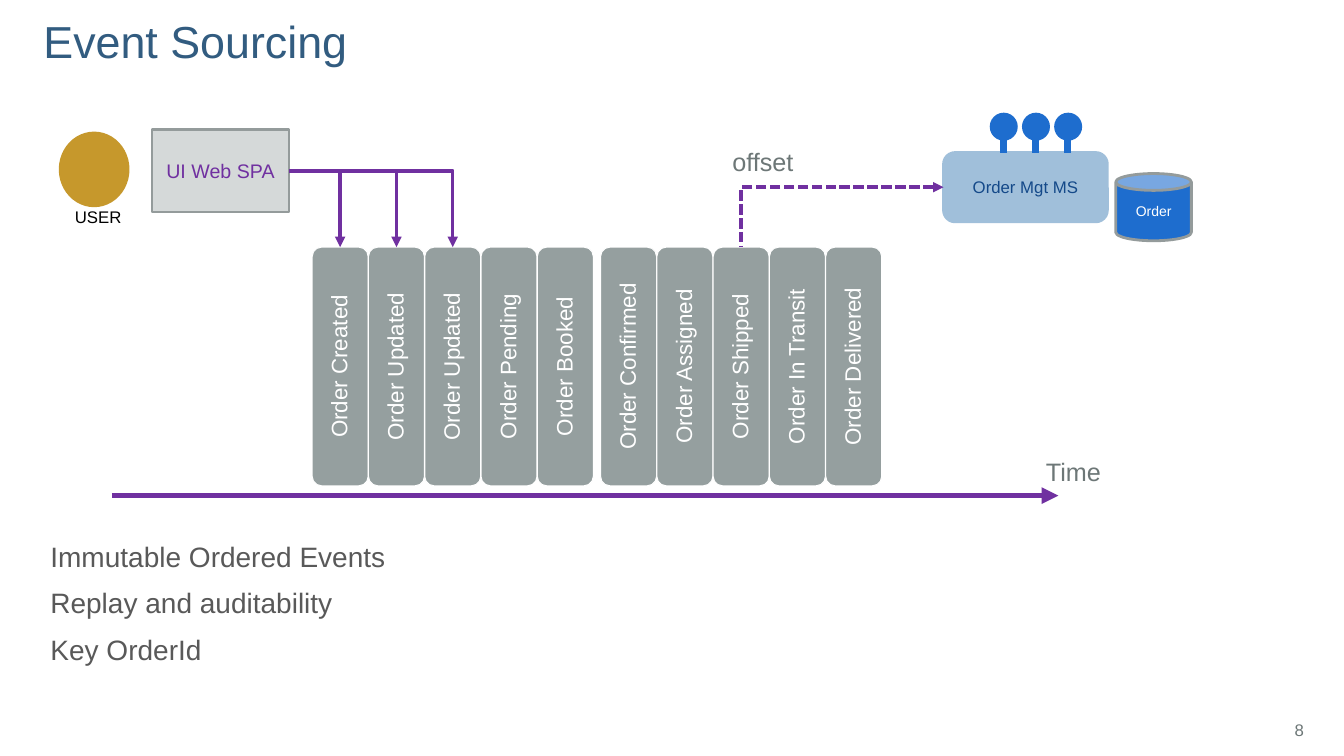
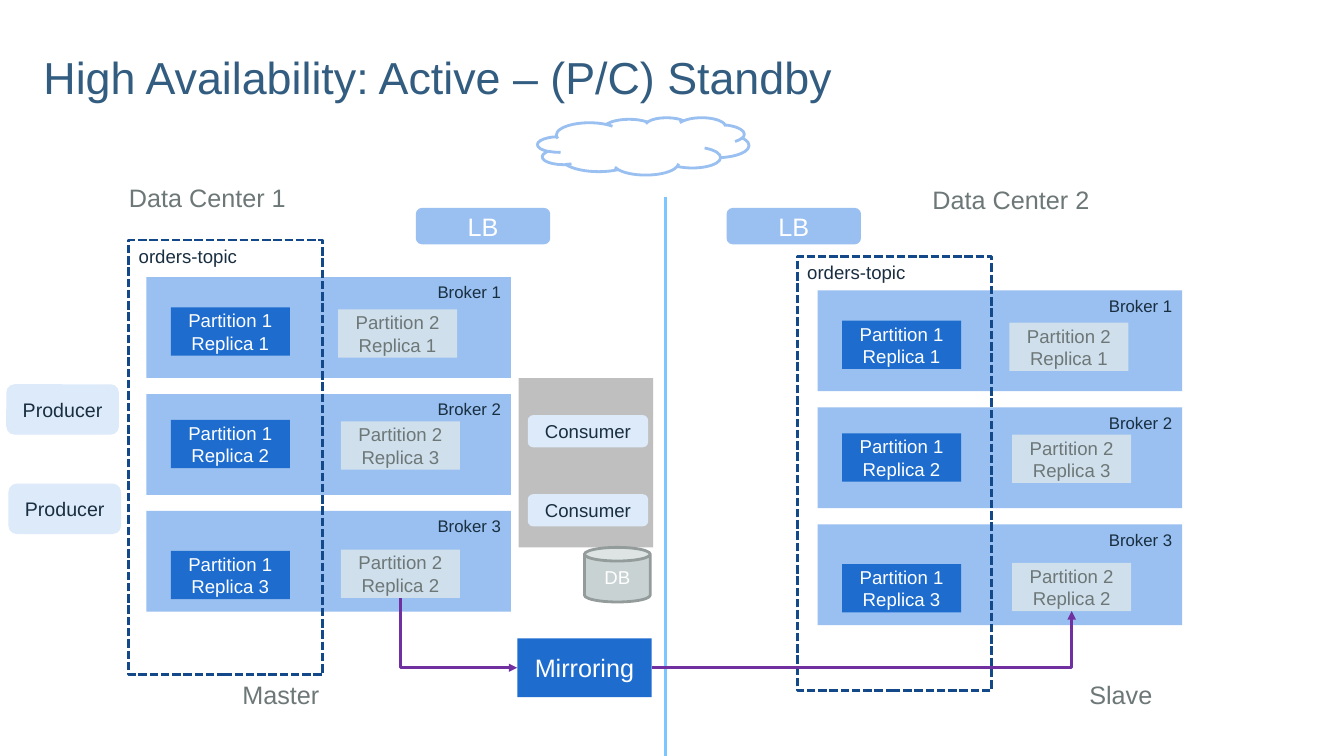
import dataclasses

import lxml.etree
import pptx
import pptx.dml.color
import pptx.enum.dml
import pptx.enum.shapes
import pptx.enum.text
import pptx.oxml.ns
import pptx.util


@dataclasses.dataclass(frozen=True)
class Theme:
    font: str = "Arial"
    title: str = "325C80"
    body: str = "595959"
    muted: str = "6D7777"
    ink: str = "192E40"
    black: str = "000000"
    white: str = "FFFFFF"
    blue: str = "1E6DCE"
    navy: str = "144989"
    sky: str = "99C0F0"
    ice: str = "DDEAFA"
    steel: str = "A0BFDA"
    mist: str = "CFDFEC"
    divider: str = "7CC7FF"
    purple: str = "7030A0"
    gold: str = "C6982C"
    event: str = "959F9F"
    border: str = "949B9B"
    panel: str = "D5D9D9"
    database: str = "C8D2D2"
    silver: str = "BFBFBF"
    title_size: float = 32
    body_size: float = 20
    label_size: float = 18
    event_size: float = 16
    node_size: float = 14
    part_size: float = 13.3
    small_size: float = 12
    tiny_size: float = 10


THEME = Theme()
DASH = pptx.enum.dml.MSO_LINE.SQUARE_DOT
TOP, LEFT, BOTTOM, RIGHT = range(4)


def points(*values):
    return [pptx.util.Pt(value) for value in values]


def rgb(color):
    return pptx.dml.color.RGBColor.from_string(color)


def assign(target, values):
    for name, value in values.items():
        setattr(target, name, value)


class Deck:
    """Holds the theme, the presentation and the slide being drawn."""

    def __init__(self, theme):
        self.theme = theme
        self.file = pptx.Presentation()
        assign(self.file, dict(zip(("slide_width", "slide_height"), points(960, 540))))

    def start_slide(self, title, title_height):
        self.slide = self.file.slides.add_slide(self.file.slide_layouts[6])
        self.label((31, 5, 857.5, title_height), title, self.theme.title_size,
                   self.theme.title, anchor="BOTTOM", insets=(0, 3.6, 7.2, 0),
                   spacing=0.85, wrap=True)

    def set_text(self, shape, text, size, color, align="LEFT", anchor="TOP",
                 insets=(7.2, 3.6, 7.2, 3.6), spacing=None, before=0, wrap=True):
        """Fills the shape with one paragraph for each line of text."""
        frame = shape.text_frame
        left, top, right, bottom = points(*insets)
        assign(frame, {
            "margin_left": left, "margin_top": top,
            "margin_right": right, "margin_bottom": bottom,
            "word_wrap": wrap,
            "vertical_anchor": pptx.enum.text.MSO_ANCHOR[anchor],
        })
        for index, line in enumerate(text.split("\n")):
            paragraph = frame.add_paragraph() if index else frame.paragraphs[0]
            paragraph.alignment = pptx.enum.text.PP_ALIGN[align]
            if spacing:
                paragraph.line_spacing = spacing
            if index and before:
                paragraph.space_before = pptx.util.Pt(before)
            run = paragraph.add_run()
            run.text = line
            assign(run.font, {"name": self.theme.font, "size": pptx.util.Pt(size)})
            run.font.color.rgb = rgb(color)

    def label(self, place, text, size=THEME.label_size, color=THEME.muted,
              wrap=False, **style):
        box = self.slide.shapes.add_textbox(*points(*place))
        self.set_text(box, text, size, color, wrap=wrap, **style)

    def shape(self, kind, place, fill=None, line=None, weight=2, dash=None,
              text="", size=THEME.part_size, color=THEME.white,
              align="CENTER", anchor="MIDDLE", **style):
        drawn = self.slide.shapes.add_shape(
            pptx.enum.shapes.MSO_SHAPE[kind], *points(*place))
        drawn.shadow.inherit = False
        if fill:
            drawn.fill.solid()
            drawn.fill.fore_color.rgb = rgb(fill)
        else:
            drawn.fill.background()
        if line:
            drawn.line.color.rgb = rgb(line)
            assign(drawn.line, {"width": pptx.util.Pt(weight), "dash_style": dash})
        else:
            drawn.line.fill.background()
        if text:
            self.set_text(drawn, text, size, color, align, anchor, **style)
        return drawn

    def finish_connector(self, connector, color, weight, dash=None, arrow=None):
        """Styles a connector; arrow is headEnd, tailEnd or None."""
        connector.line.color.rgb = rgb(color)
        assign(connector.line, {"width": pptx.util.Pt(weight), "dash_style": dash})
        properties = connector._element.spPr
        if arrow:
            lxml.etree.SubElement(properties.find(pptx.oxml.ns.qn("a:ln")),
                                  pptx.oxml.ns.qn("a:" + arrow), type="triangle")
        lxml.etree.SubElement(properties, pptx.oxml.ns.qn("a:effectLst"))

    def line(self, ends, color, weight, arrow=None):
        connector = self.slide.shapes.add_connector(
            pptx.enum.shapes.MSO_CONNECTOR.STRAIGHT, *points(*ends))
        self.finish_connector(connector, color, weight, arrow=arrow)

    def elbow(self, start, start_side, end, end_side, weight, arrow, dash=None):
        """Joins two shapes with one bend, leaving the first horizontally."""
        connector = self.slide.shapes.add_connector(
            pptx.enum.shapes.MSO_CONNECTOR.ELBOW, *points(0, 0, 0, 0))
        connector.begin_connect(start, start_side)
        connector.end_connect(end, end_side)
        geometry = connector._element.spPr.find(pptx.oxml.ns.qn("a:prstGeom"))
        geometry.set("prst", "bentConnector2")
        self.finish_connector(connector, self.theme.purple, weight, dash, arrow)

    def event(self, left, text):
        card = self.shape("ROUNDED_RECTANGLE", (left, 176.5, 40, 170.5),
                          self.theme.event, self.theme.white, 0.75, text=text,
                          size=self.theme.event_size, insets=(0, 0, 0, 0),
                          spacing=0.9)
        card.text_frame._txBody.bodyPr.set("vert", "vert270")
        return card

    def data_center(self, left, top, topic_left, topic_top):
        """Draws three brokers and the topic outline; returns the last replica."""
        theme = self.theme
        # Left and top of each partition within its broker, with its replica
        brokers = (
            ((17.5, 21.5, 1), (137, 23, 1)),
            ((17.5, 18.5, 2), (139, 19.5, 3)),
            ((17.5, 28.5, 3), (139, 27.5, 2)),
        )
        looks = ((theme.blue, theme.white), (theme.mist, theme.muted))
        for index, partitions in enumerate(brokers):
            broker_top = top + index * 83.5
            self.shape("RECTANGLE", (left, broker_top, 260.5, 72), theme.sky,
                       text=f"Broker {index + 1}", size=theme.small_size,
                       color=theme.ink, align="RIGHT", anchor="TOP")
            for number, (dx, dy, replica) in enumerate(partitions, 1):
                fill, color = looks[number - 1]
                partition = self.shape(
                    "RECTANGLE", (left + dx, broker_top + dy, 85, 34.5), fill,
                    text=f"Partition {number} Replica {replica}", color=color)
        self.shape("RECTANGLE", (topic_left, topic_top, 138.5, 310.5),
                   line=theme.navy, dash=DASH, text="orders-topic",
                   color=theme.ink, align="LEFT", anchor="TOP")
        return partition


def event_sourcing(deck):
    theme = deck.theme
    deck.start_slide("Event Sourcing", 43)
    deck.label((36, 382, 525.5, 89),
               "Immutable Ordered Events\nReplay and auditability\nKey OrderId",
               theme.body_size, theme.body, wrap=True, before=9,
               insets=(0, 3.6, 7.2, 3.6))
    deck.label((896.5, 507, 42, 29), "8", theme.small_size, align="RIGHT",
               anchor="MIDDLE", wrap=True)

    groups = (
        (223, ("Created", "Updated", "Updated", "Pending", "Booked")),
        (429, ("Confirmed", "Assigned", "Shipped", "In Transit", "Delivered")),
    )
    events = [deck.event(left + index * 40.2, f"Order {state}")
              for left, states in groups for index, state in enumerate(states)]
    shipped = events[7]
    deck.line((80, 354, 756, 354), theme.purple, 4, "tailEnd")
    deck.label((740, 322.5, 54, 29), "Time")
    deck.label((516, 101, 58, 29), "offset")

    service = deck.shape("ROUNDED_RECTANGLE", (674, 109, 117, 49.5), theme.steel,
                         theme.steel, text="Order Mgt MS",
                         size=theme.small_size, color=theme.navy)
    for index in range(3):
        left = 707 + index * 23
        deck.shape("OVAL", (left, 80.5, 20, 20), theme.blue)
        deck.line((left + 9.5, 99.5, left + 9.5, 109), theme.blue, 5)
    deck.shape("CAN", (797, 124, 54, 48), theme.blue, theme.border, text="Order",
               size=theme.tiny_size)

    web_app = deck.shape("RECTANGLE", (108.5, 92.5, 98, 59), theme.panel,
                         theme.border, text="UI Web SPA", size=theme.node_size,
                         color=theme.purple)
    deck.shape("OVAL", (42, 94, 50.5, 54), theme.gold)
    deck.label((53.5, 147.5, 34, 14.5), "USER", theme.small_size, theme.black,
               insets=(0, 0, 0, 0))
    for recorded in events[:3]:
        deck.elbow(web_app, RIGHT, recorded, TOP, 2.5, "tailEnd")
    deck.elbow(service, LEFT, shipped, TOP, 2.5, "headEnd", DASH)


def high_availability(deck):
    theme = deck.theme
    deck.start_slide("High Availability: Active – (P/C) Standby", 69)
    deck.shape("CLOUD", (384, 84, 151, 41), line=theme.sky)
    for left in (297, 519):
        deck.shape("ROUNDED_RECTANGLE", (left, 148.5, 96, 26), theme.sky,
                   text="LB", size=theme.label_size)
    for left, top, width, text in (
            (85, 127, 127.5, "Data Center 1"), (659, 128, 127.5, "Data Center 2"),
            (166, 482, 70, "Master"), (771, 482, 60, "Slave")):
        deck.label((left, top, width, 29), text)

    for left, top in ((4.5, 274.5), (6, 345.5)):
        deck.shape("ROUNDED_RECTANGLE", (left, top, 80.5, 36), theme.ice,
                   text="Producer", size=theme.node_size, color=theme.ink)
    deck.shape("RECTANGLE", (370.5, 270, 96, 121), theme.silver)
    for top in (296.5, 353):
        deck.shape("ROUNDED_RECTANGLE", (377, top, 86, 23), theme.ice,
                   text="Consumer", color=theme.ink)

    master = deck.data_center(104.5, 198, 92, 171.5)
    standby = deck.data_center(584, 207.5, 569.5, 183)
    deck.line((475.5, 140.5, 475.5, 540), theme.divider, 2)
    mirroring = deck.shape("RECTANGLE", (369.5, 456, 96, 42), theme.blue,
                           text="Mirroring", size=theme.label_size)
    deck.elbow(mirroring, LEFT, master, BOTTOM, 2, "headEnd")
    deck.elbow(mirroring, RIGHT, standby, BOTTOM, 2, "tailEnd")
    deck.shape("CAN", (417.5, 391, 47, 39), theme.database, theme.border,
               text="DB", anchor="TOP")


def main():
    deck = Deck(THEME)
    event_sourcing(deck)
    high_availability(deck)
    deck.file.save("out.pptx")


if __name__ == "__main__":
    main()
